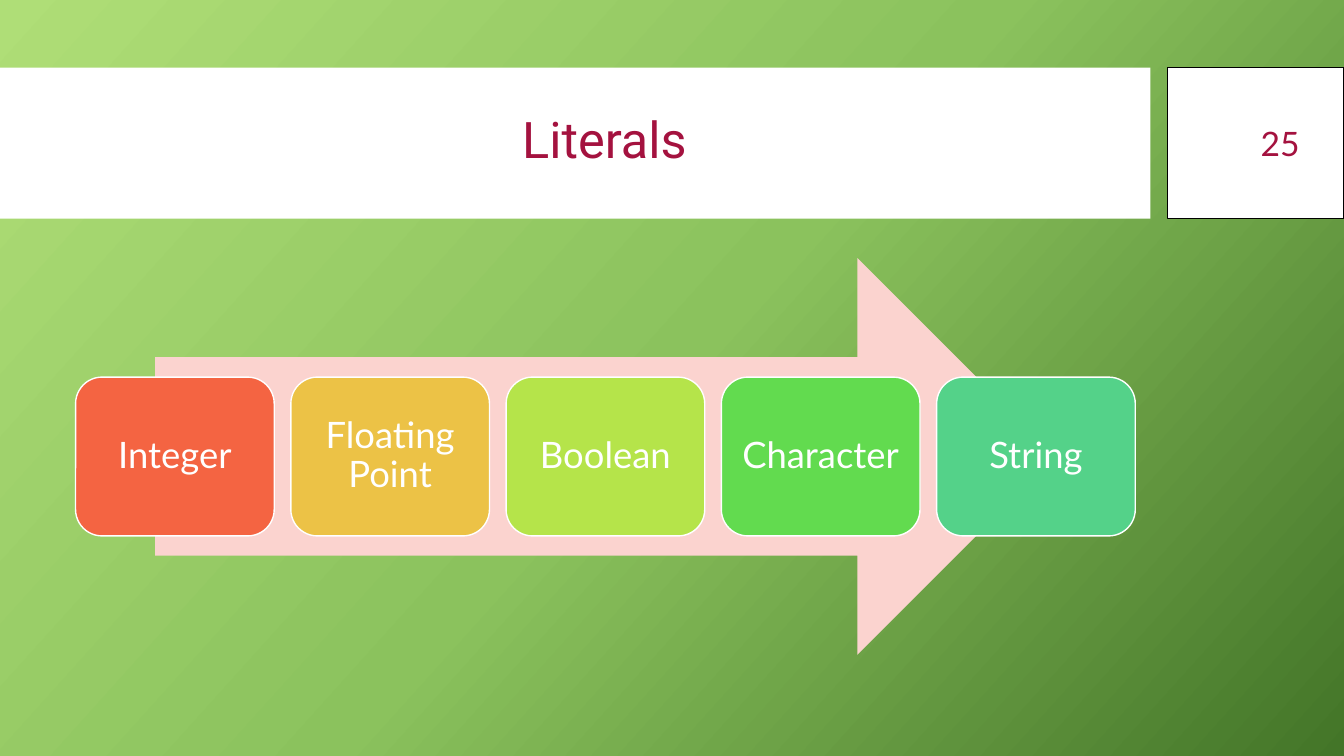
from copy import deepcopy

from pptx import Presentation
from pptx.dml.color import RGBColor
from pptx.enum.shapes import MSO_SHAPE
from pptx.enum.text import MSO_ANCHOR, PP_ALIGN
from pptx.util import Inches, Pt

RECTANGLE = MSO_SHAPE.RECTANGLE
ROUNDED = MSO_SHAPE.ROUNDED_RECTANGLE
ARROW = MSO_SHAPE.RIGHT_ARROW
MIDDLE = MSO_ANCHOR.MIDDLE
CENTER, RIGHT = PP_ALIGN.CENTER, PP_ALIGN.RIGHT

WIDTH, HEIGHT = 13.33, 7.5
WHITE, BLACK, CRIMSON, PINK = "FFFFFF", "000000", "A4123F", "FBD3CF"
GRADIENT = [(0, "AFDE77"), (0.5, "8BC25D"), (1, "437528")]
GRADIENT_ANGLE = 42
LITERALS = [
    ("Integer", "F46442"),
    ("Floating Point", "ECC246"),
    ("Boolean", "B5E44A"),
    ("Character", "62DB4F"),
    ("String", "54D289"),
]


def color(value):
    return RGBColor.from_string(value)


def add_block(page, kind, box, fill, line=None):
    block = page.shapes.add_shape(kind, *map(Inches, box))
    block.shadow.inherit = False
    block.fill.solid()
    block.fill.fore_color.rgb = color(fill)
    if line:
        block.line.color.rgb = color(line)
        block.line.width = Pt(1)
    else:
        block.line.fill.background()
    return block


def write(shape, text, font, size, ink, align, spacing=None):
    frame = shape.text_frame
    frame.word_wrap = True
    frame.vertical_anchor = MIDDLE
    frame.text = text
    para = frame.paragraphs[0]
    para.alignment = align
    para.line_spacing = spacing
    para.font.name = font
    para.font.size = Pt(size)
    para.font.color.rgb = color(ink)
    return frame


def paint_background(page):
    fill = page.background.fill
    fill.gradient()
    fill.gradient_angle = 360 - GRADIENT_ANGLE
    last_stop = fill.gradient_stops[-1]._element
    last_stop.addnext(deepcopy(last_stop))
    for stop, (position, value) in zip(fill.gradient_stops, GRADIENT):
        stop.position = position
        stop.color.rgb = color(value)


def build_header(page, box, title_text, number):
    left, top, width, height = box
    number_width, gap = 1.75, 0.17
    band_width = width - number_width - gap
    band = add_block(page, RECTANGLE, (left, top, band_width, height), WHITE)

    title = page.shapes.title
    title.left, title.top = Inches(left + 0.74), Inches(top + 0.15)
    title.width, title.height = Inches(band_width - 0.9), Inches(height - 0.32)
    write(title, title_text, "Roboto", 36, CRIMSON, CENTER, 0.9)
    band._element.addnext(title._element)

    number_left = left + width - number_width
    number_box = add_block(page, RECTANGLE, (number_left, top, number_width, height), WHITE, BLACK)
    frame = write(number_box, number, "Lato", 24, CRIMSON, RIGHT)
    frame.margin_right = Inches(0.44)


def build_process(page, box, steps):
    left, top, width, height = box
    arrow_width = width * 0.85
    add_block(page, ARROW, (left + (width - arrow_width) / 2, top, arrow_width, height), PINK)

    gap = 0.165
    card_width = (width - gap * (len(steps) - 1)) / len(steps)
    card_height = height * 0.4
    card_top = top + (height - card_height) / 2
    for column, (label, fill) in enumerate(steps):
        card_left = left + column * (card_width + gap)
        card = add_block(page, ROUNDED, (card_left, card_top, card_width, card_height), fill, WHITE)
        frame = write(card, label, "Lato", 26, WHITE, CENTER, 0.9)
        frame.margin_left = frame.margin_right = Inches(0.11)
        frame.margin_top = frame.margin_bottom = Inches(0.11)


def main():
    deck = Presentation()
    deck.slide_width, deck.slide_height = Inches(WIDTH), Inches(HEIGHT)
    page = deck.slides.add_slide(deck.slide_layouts[5])
    paint_background(page)
    build_header(page, (0, 0.67, WIDTH, HEIGHT * 0.2), "Literals", "25")
    build_process(page, (0.75, 2.56, 10.51, HEIGHT * 0.525), LITERALS)
    deck.save("out.pptx")


if __name__ == "__main__":
    main()
